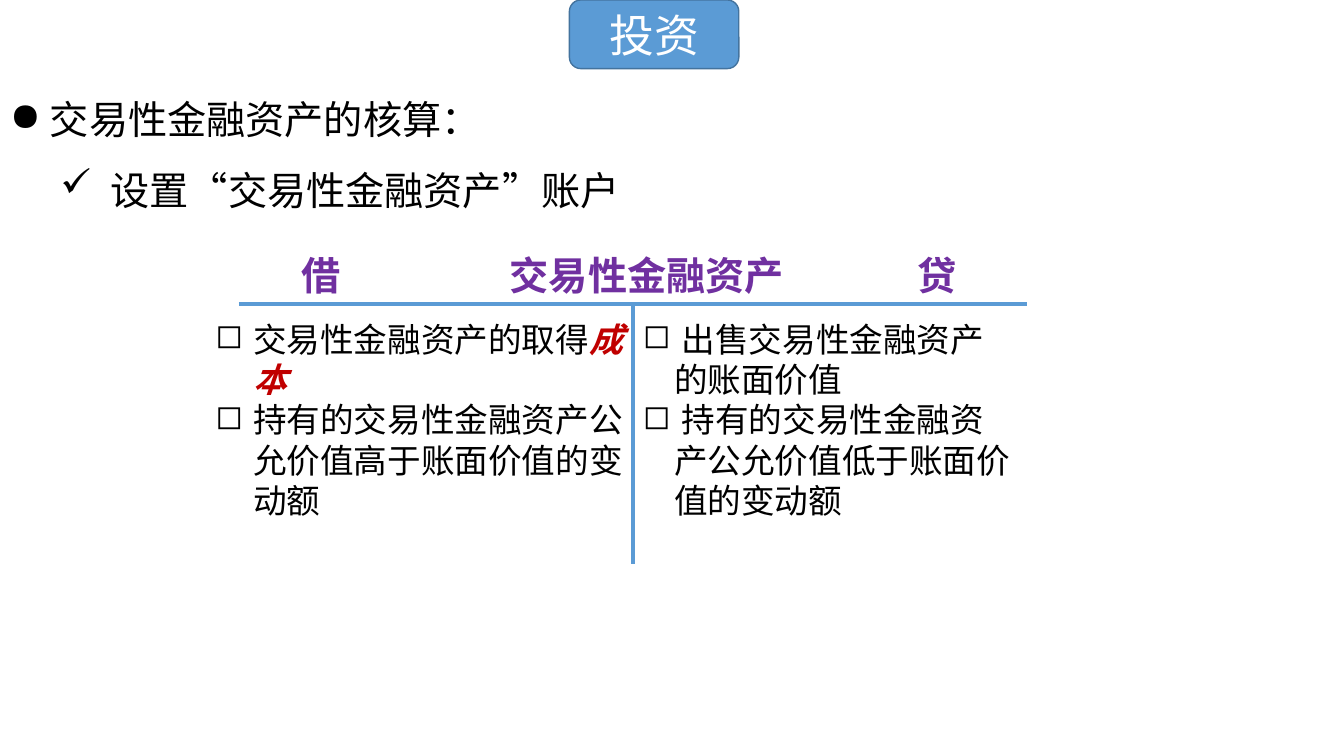
import dataclasses

import lxml.etree
import pptx
import pptx.dml.color
import pptx.enum.lang
import pptx.enum.shapes
import pptx.enum.text
import pptx.oxml.ns
import pptx.util

Cm = pptx.util.Cm


@dataclasses.dataclass(frozen=True)
class Theme:
    font: str = "Calibri"
    ink: str = "000000"
    white: str = "FFFFFF"
    blue: str = "5B9BD5"
    outline: str = "43739E"
    purple: str = "7030A0"
    red: str = "C00000"
    title: int = 32
    heading: int = 28
    entry: int = 24
    rule: int = 3


def rgb(value):
    return pptx.dml.color.RGBColor.from_string(value)


def add_run(paragraph, text, *, font, size, color, bold=False, italic=False):
    run = paragraph.add_run()
    run.text = text
    run.font.name = font
    run.font.size = pptx.util.Pt(size)
    run.font.color.rgb = rgb(color)
    run.font.bold = bold
    run.font.italic = italic
    run.font.language_id = pptx.enum.lang.MSO_LANGUAGE_ID.SIMPLIFIED_CHINESE


def add_xml(parent, tag, **attributes):
    return lxml.etree.SubElement(parent, pptx.oxml.ns.qn(tag), **attributes)


class AccountSlide:
    def __init__(self, slide, theme):
        self.slide = slide
        self.theme = theme

    def phrase(self, paragraph, text, **format):
        defaults = {"font": self.theme.font, "color": self.theme.ink}
        add_run(paragraph, text, **{**defaults, **format})

    def badge(self, text, left, top, width, height):
        badge = self.slide.shapes.add_shape(
            pptx.enum.shapes.MSO_SHAPE.ROUNDED_RECTANGLE,
            Cm(left), Cm(top), Cm(width), Cm(height))
        badge.shadow.inherit = False
        badge.fill.solid()
        badge.fill.fore_color.rgb = rgb(self.theme.blue)
        badge.line.color.rgb = rgb(self.theme.outline)
        badge.line.width = pptx.util.Pt(1)
        badge.text_frame.vertical_anchor = pptx.enum.text.MSO_ANCHOR.MIDDLE
        label = badge.text_frame.paragraphs[0]
        label.alignment = pptx.enum.text.PP_ALIGN.CENTER
        self.phrase(label, text, size=self.theme.title, color=self.theme.white)

    def text_box(self, left, top, width, height):
        frame = self.slide.shapes.add_textbox(
            Cm(left), Cm(top), Cm(width), Cm(height)).text_frame
        frame.word_wrap = True
        frame.auto_size = pptx.enum.text.MSO_AUTO_SIZE.SHAPE_TO_FIT_TEXT
        return frame

    def bullet(self, paragraph, mark, margin, hanging, spacing=None, level=0):
        paragraph.level = level
        if spacing:
            paragraph.line_spacing = spacing
        properties = paragraph._p.get_or_add_pPr()
        properties.set("marL", str(Cm(margin)))
        properties.set("indent", str(-Cm(hanging)))
        add_xml(properties, "a:buChar", char=mark)

    def outline(self, items, *place):
        frame = self.text_box(*place)
        for index, (text, layout) in enumerate(items):
            paragraph = frame.add_paragraph() if index else frame.paragraphs[0]
            self.bullet(paragraph, **layout)
            self.phrase(paragraph, text, size=self.theme.heading)

    def account_header(self, labels, stops, *place):
        paragraph = self.text_box(*place).paragraphs[0]
        self.phrase(paragraph, "\t".join(labels), size=self.theme.heading,
                    color=self.theme.purple, bold=True)
        tabs = add_xml(paragraph._p.get_or_add_pPr(), "a:tabLst")
        for stop in stops:
            add_xml(tabs, "a:tab", pos=str(Cm(stop)), algn="l")

    def entries(self, items, indent, *place):
        frame = self.text_box(*place)
        for index, (text, emphasis) in enumerate(items):
            paragraph = frame.add_paragraph() if index else frame.paragraphs[0]
            self.bullet(paragraph, "◻", indent, indent)
            self.phrase(paragraph, text, size=self.theme.entry)
            if emphasis:
                self.phrase(paragraph, emphasis, size=self.theme.entry,
                            color=self.theme.red, bold=True, italic=True)

    def rule(self, *ends):
        rule = self.slide.shapes.add_connector(
            pptx.enum.shapes.MSO_CONNECTOR.STRAIGHT, *map(Cm, ends))
        rule.line.color.rgb = rgb(self.theme.blue)
        rule.line.width = pptx.util.Pt(self.theme.rule)
        add_xml(rule._element.spPr, "a:effectLst")


def main():
    deck = pptx.Presentation()
    deck.slide_width, deck.slide_height = Cm(33.87), Cm(19.05)
    account = AccountSlide(deck.slides.add_slide(deck.slide_layouts[6]), Theme())

    account.badge("投资", 14.35, 0, 4.27, 1.73)
    account.outline([
        (" 交易性金融资产的核算：",
         dict(mark="●", margin=0.79, hanging=0.79, spacing=2.0)),
        ("设置“交易性金融资产”账户",
         dict(mark="✓", margin=2.54, hanging=1.27, spacing=1.5, level=1)),
    ], 0, 1.09, 33.87, 4.45)

    left, right, bar, foot = 6.02, 25.88, 7.67, 14.22
    middle = (left + right) / 2
    entry_top, entry_height, debit_left = 7.9, 5.38, 5.18
    account.account_header(["借", "交易性金融资产", "贷"], [5.26, 15.54],
                           7.34, 6.22, 17.22, 1.45)
    account.rule(left, bar, right, bar)
    account.rule(middle, bar, middle, foot)
    account.entries([
        ("交易性金融资产的取得", "成本"),
        ("持有的交易性金融资产公允价值高于账面价值的变动额", None),
    ], 0.95, debit_left, entry_top, middle - debit_left, entry_height)
    account.entries([
        (" 出售交易性金融资产的账面价值", None),
        (" 持有的交易性金融资产公允价值低于账面价值的变动额", None),
    ], 0.79, middle, entry_top, right - middle, entry_height)

    deck.save("out.pptx")


if __name__ == "__main__":
    main()
